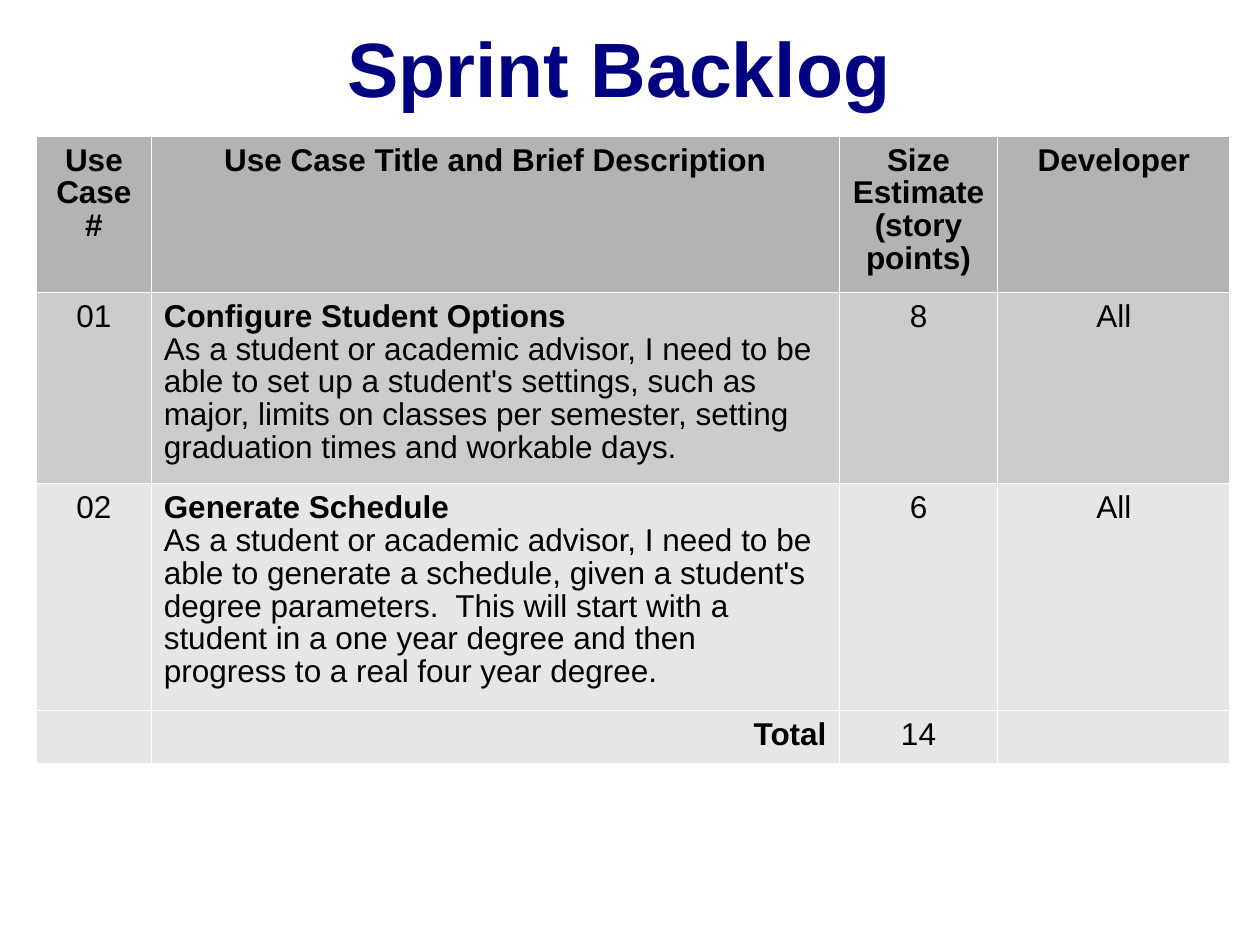
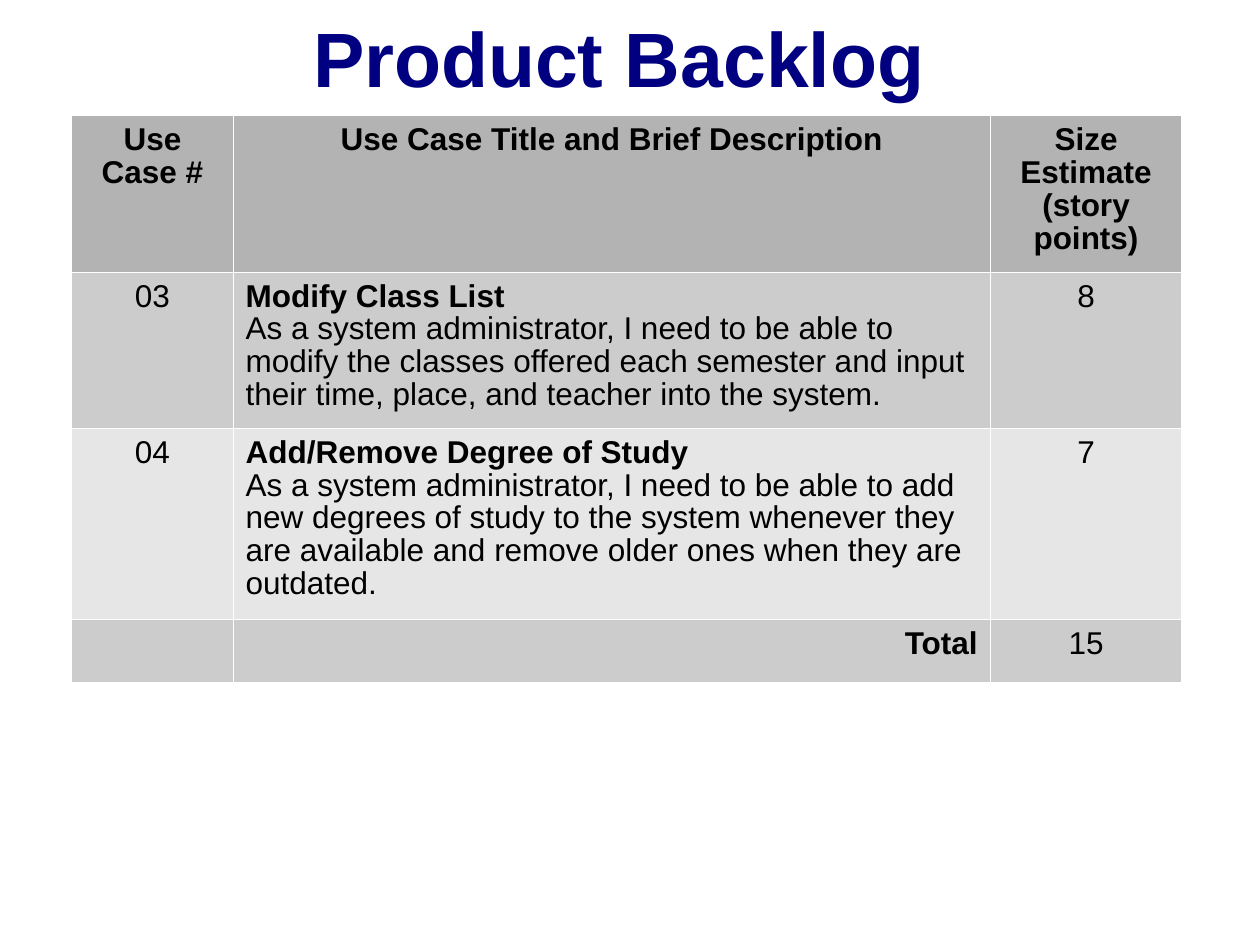
from lxml import etree
from pptx import Presentation
from pptx.dml.color import RGBColor
from pptx.enum import text as t
from pptx.oxml import ns
from pptx.util import Inches, Pt

NAVY = RGBColor(0x00, 0x00, 0x80)
BLACK = RGBColor(0x00, 0x00, 0x00)
HEADER_GREY = RGBColor(0xB3, 0xB3, 0xB3)
MID_GREY = RGBColor(0xCC, 0xCC, 0xCC)
LIGHT_GREY = RGBColor(0xE6, 0xE6, 0xE6)
WHITE = RGBColor(0xFF, 0xFF, 0xFF)
FONT = "Arial"
LEFT, CENTER, RIGHT = t.PP_ALIGN.LEFT, t.PP_ALIGN.CENTER, t.PP_ALIGN.RIGHT

HEADINGS = ["Use Case #", "Use Case Title and Brief Description",
            "Size Estimate\n(story points)", "Developer"]

# Each backlog: title, position, column widths, row heights, row fills, rows
BACKLOGS = [
    dict(title="Sprint Backlog ", title_top=0.11, left=0.29, top=1.08,
         widths=[0.91, 5.46, 1.26, 1.84], heights=[1.24, 1.52, 1.8, 0.42],
         fills=[HEADER_GREY, MID_GREY, LIGHT_GREY, LIGHT_GREY],
         rows=[
             ["01", "Configure Student Options\nAs a student or academic advisor, "
              "I need to be able to set up a student's settings, such as major, "
              "limits on classes per semester, setting graduation times and "
              "workable days.", "8", "All"],
             ["02", "Generate Schedule\nAs a student or academic advisor, I need "
              "to be able to generate a schedule, given a student's degree "
              "parameters.  This will start with a student in a one year degree "
              "and then progress to a real four year degree.", "6", "All"],
             ["", "Total", "14", ""]]),
    dict(title="Product Backlog ", title_top=0.03, left=0.57, top=0.92,
         widths=[1.28, 6.01, 1.52], heights=[1.24, 1.24, 1.52, 0.5],
         fills=[HEADER_GREY, MID_GREY, LIGHT_GREY, MID_GREY],
         rows=[
             ["03", "Modify Class List\nAs a system administrator, I need to be "
              "able to modify the classes offered each semester and input their "
              "time, place, and teacher into the system.", "8"],
             ["04", "Add/Remove Degree of Study\nAs a system administrator, I need "
              "to be able to add new degrees of study to the system whenever they "
              "are available and remove older ones when they are outdated.", "7"],
             ["", "Total", "15"]]),
]


def style_paragraph(paragraph, size, color, bold, align):
    paragraph.alignment = align
    for run in paragraph.runs:
        run.font.name = FONT
        run.font.size = Pt(size)
        run.font.bold = bold
        run.font.color.rgb = color


def add_cell_borders(cell):
    # Borders come before the fill in the cell properties
    properties = cell._tc.get_or_add_tcPr()
    for index, side in enumerate(["a:lnL", "a:lnR", "a:lnT", "a:lnB"]):
        border = etree.Element(ns.qn(side), w=str(Pt(0.75)))
        solid = etree.SubElement(border, ns.qn("a:solidFill"))
        etree.SubElement(solid, ns.qn("a:srgbClr"), val=str(WHITE))
        properties.insert(index, border)


prs = Presentation()
prs.slide_width, prs.slide_height = Inches(10), Inches(7.5)

for backlog in BACKLOGS:
    slide = prs.slides.add_slide(prs.slide_layouts[6])

    # Title
    title = slide.shapes.add_textbox(Inches(0.5), Inches(backlog["title_top"]),
                                     Inches(9), Inches(0.84)).text_frame
    title.word_wrap = True
    title.vertical_anchor = t.MSO_ANCHOR.MIDDLE
    title.text = backlog["title"]
    style_paragraph(title.paragraphs[0], 44, NAVY, True, CENTER)

    # Table grid
    widths, heights = backlog["widths"], backlog["heights"]
    table = slide.shapes.add_table(
        len(heights), len(widths), Inches(backlog["left"]), Inches(backlog["top"]),
        Inches(sum(widths)), Inches(sum(heights))).table
    for column, width in zip(table.columns, widths):
        column.width = Inches(width)
    for row, height in zip(table.rows, heights):
        row.height = Inches(height)

    # Header, use cases and total
    entries = [HEADINGS[:len(widths)]] + backlog["rows"]
    for r, (entry, fill) in enumerate(zip(entries, backlog["fills"])):
        for c, content in enumerate(entry):
            cell = table.cell(r, c)
            cell.fill.solid()
            cell.fill.fore_color.rgb = fill
            cell.margin_left = cell.margin_right = Inches(0.1)
            cell.margin_top, cell.margin_bottom = Inches(0.07), Inches(0.05)
            add_cell_borders(cell)
            cell.text_frame.text = content
            align = CENTER
            if c == 1 and r > 0:
                align = RIGHT if content == "Total" else LEFT
            for p, paragraph in enumerate(cell.text_frame.paragraphs):
                bold = r == 0 or (c == 1 and p == 0)
                style_paragraph(paragraph, 18, BLACK, bold, align)
                paragraph.line_spacing = 0.93

prs.save("out.pptx")
